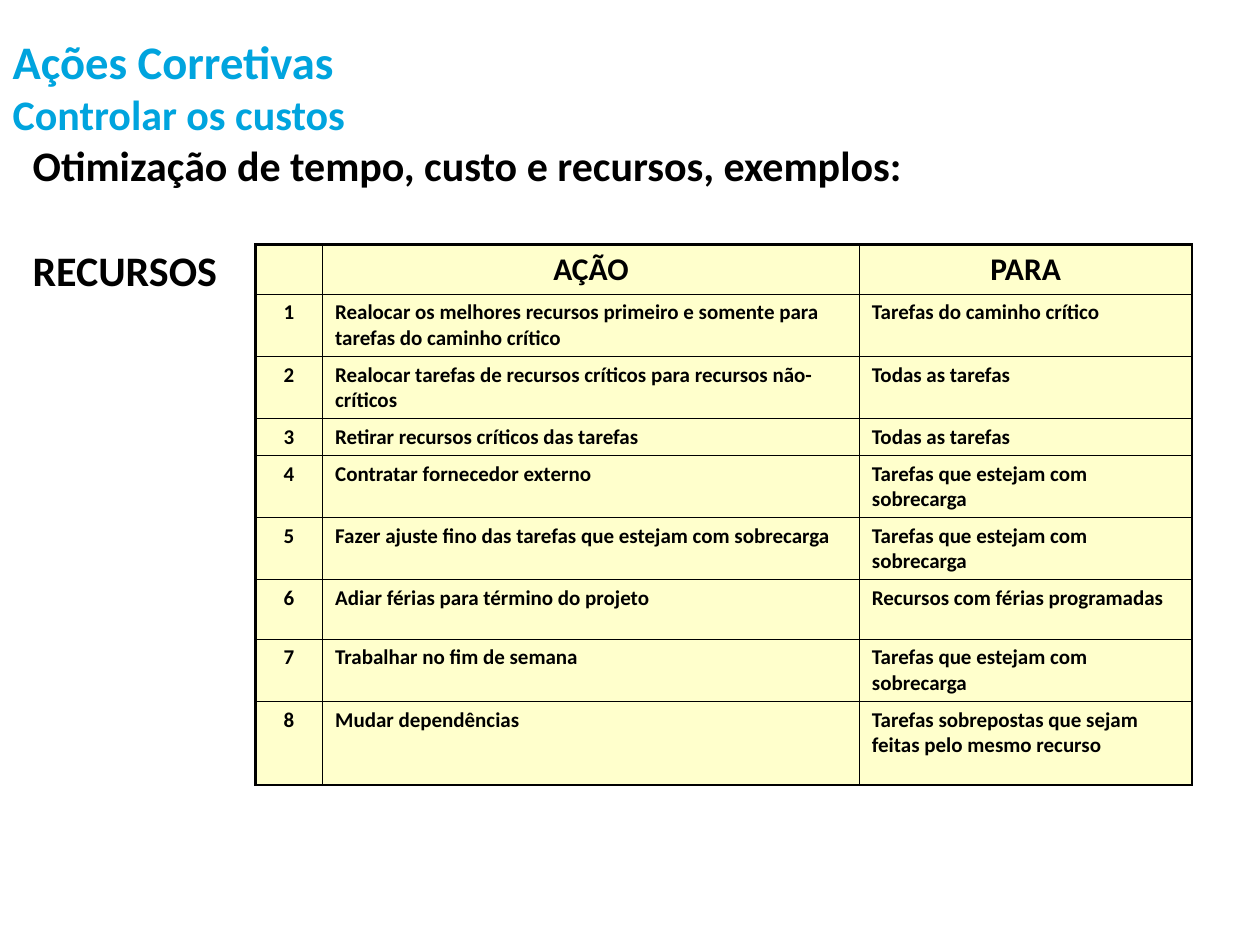
from lxml import etree
from pptx import Presentation
from pptx import util as u
from pptx.dml.color import RGBColor
from pptx.enum import text
from pptx.oxml import ns

BLACK = RGBColor(0x00, 0x00, 0x00)
BLUE = RGBColor(0x00, 0xA4, 0xDE)
CREAM = RGBColor(0xFF, 0xFF, 0xCC)

COLUMN_WIDTHS = [0.8, 6.39, 3.96]
ROW_HEIGHTS = [0.57, 0.71, 0.71, 0.43, 0.71, 0.71, 0.71, 0.71, 1]
OVERLOADED = "Tarefas que estejam com sobrecarga"
ACTIONS = [
    ("Realocar os melhores recursos primeiro e somente para tarefas do caminho crítico",
     "Tarefas do caminho crítico"),
    ("Realocar tarefas de recursos críticos para recursos não-críticos", "Todas as tarefas"),
    ("Retirar recursos críticos das tarefas", "Todas as tarefas"),
    ("Contratar fornecedor externo", OVERLOADED),
    ("Fazer ajuste fino das tarefas que estejam com sobrecarga", OVERLOADED),
    ("Adiar férias para término do projeto", "Recursos com férias programadas"),
    ("Trabalhar no fim de semana", OVERLOADED),
    ("Mudar dependências", "Tarefas sobrepostas que sejam feitas pelo mesmo recurso"),
]


class SlideBuilder:
    font_name = "Calibri"
    outer_line = u.Pt(2.25)
    inner_line = u.Pt(1)

    def __init__(self, slide):
        self.slide = slide

    def place(self, shape, left, top, width, height):
        shape.left, shape.top = u.Inches(left), u.Inches(top)
        shape.width, shape.height = u.Inches(width), u.Inches(height)

    def run(self, paragraph, wording, size, color=BLACK):
        run = paragraph.add_run()
        run.text = wording
        run.font.name = self.font_name
        run.font.size = u.Pt(size)
        run.font.bold = True
        run.font.color.rgb = color

    def title(self, lines, *box):
        shape = self.slide.shapes.title
        self.place(shape, *box)
        frame = shape.text_frame
        frame.word_wrap = True
        frame.auto_size = text.MSO_AUTO_SIZE.NONE
        frame.vertical_anchor = text.MSO_ANCHOR.TOP
        frame.margin_left = frame.margin_right = u.Inches(0.15)
        frame.margin_top = frame.margin_bottom = u.Inches(0.08)
        for index, (wording, size) in enumerate(lines):
            paragraph = frame.add_paragraph() if index else frame.paragraphs[0]
            paragraph.alignment = text.PP_ALIGN.LEFT
            self.run(paragraph, wording, size, BLUE)

    def label(self, wording, *box):
        shape = self.slide.shapes.add_textbox(*map(u.Inches, box))
        frame = shape.text_frame
        frame.word_wrap = False
        frame.auto_size = text.MSO_AUTO_SIZE.SHAPE_TO_FIT_TEXT
        self.run(frame.paragraphs[0], wording, 36)

    def border(self, cell, side, width):
        properties = cell._tc.get_or_add_tcPr()
        line = etree.SubElement(properties, ns.qn(f"a:ln{side}"), w=str(width))
        fill = etree.SubElement(line, ns.qn("a:solidFill"))
        etree.SubElement(fill, ns.qn("a:srgbClr"), val=str(BLACK))

    def cell(self, cell, wording, size, centered, outer_sides):
        for side in "LRTB":
            self.border(cell, side, self.outer_line if side in outer_sides else self.inner_line)
        cell.fill.solid()
        cell.fill.fore_color.rgb = CREAM
        cell.margin_left = cell.margin_right = u.Inches(0.15)
        cell.margin_top = cell.margin_bottom = u.Inches(0.07)
        if wording:
            paragraph = cell.text_frame.paragraphs[0]
            paragraph.alignment = text.PP_ALIGN.CENTER if centered else text.PP_ALIGN.LEFT
            self.run(paragraph, wording, size)

    def table(self, rows, left, top):
        last_row, last_column = len(rows) - 1, len(COLUMN_WIDTHS) - 1
        table = self.slide.shapes.add_table(
            len(rows), len(COLUMN_WIDTHS), u.Inches(left), u.Inches(top),
            u.Inches(sum(COLUMN_WIDTHS)), u.Inches(sum(ROW_HEIGHTS))).table
        table.first_row = table.horz_banding = False
        for column, width in zip(table.columns, COLUMN_WIDTHS):
            column.width = u.Inches(width)
        for row, height in zip(table.rows, ROW_HEIGHTS):
            row.height = u.Inches(height)
        for r, row in enumerate(rows):
            for c, wording in enumerate(row):
                edges = {"L": c == 0, "R": c == last_column, "T": r == 0, "B": r == last_row}
                outer_sides = [side for side, is_outer in edges.items() if is_outer]
                self.cell(table.cell(r, c), wording, 18 if r else 27, r == 0 or c == 0, outer_sides)


def main():
    presentation = Presentation()
    presentation.slide_width = u.Inches(15)
    presentation.slide_height = u.Inches(11.25)
    builder = SlideBuilder(presentation.slides.add_slide(presentation.slide_layouts[5]))
    builder.label("RECURSOS", 0.29, 2.86, 2.42, 0.71)
    numbered = [(str(number), *action) for number, action in enumerate(ACTIONS, 1)]
    builder.table([("", "AÇÃO", "PARA"), *numbered], 3.04, 2.91)
    builder.label("Otimização de tempo, custo e recursos, exemplos:", 0.29, 1.61, 10.85, 0.71)
    builder.title([("Ações Corretivas", 40), ("Controlar os custos", 36)], 0, 0.31, 10.69, 0.72)
    presentation.save("out.pptx")


if __name__ == "__main__":
    main()
